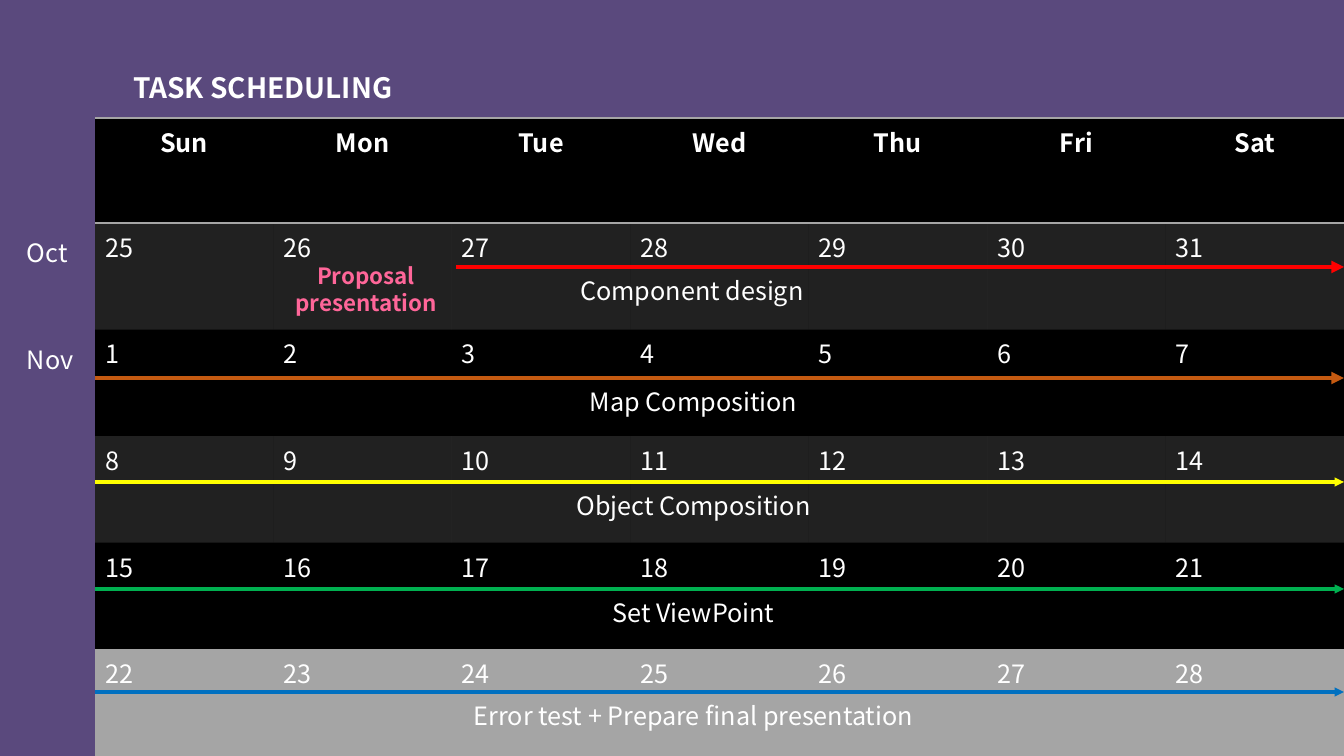
import dataclasses

import pptx
import pptx.dml.color
import pptx.enum.shapes
import pptx.enum.text
import pptx.oxml
import pptx.oxml.ns
import pptx.util

SCALE = 9144000 / 1008  # EMU per pixel
NO_TABLE_STYLE = "{2D5ABB26-0587-4C30-8999-92F81FD0307C}"
ALIGN = pptx.enum.text.PP_ALIGN


@dataclasses.dataclass(frozen=True)
class Theme:
    """Colours, font and type sizes of the slide."""
    font: str = "Noto Sans CJK KR"
    background: str = "5A497D"
    panel: str = "000000"
    text: str = "FFFFFF"
    grey: str = "A5A5A5"
    milestone: str = "FF6699"
    title_size: int = 20
    body_size: int = 18
    small_size: int = 16


THEME = Theme()
WEEKDAYS = ["Sun", "Mon", "Tue", "Wed", "Thu", "Fri", "Sat"]
DATES = [*range(25, 32), *range(1, 29)]

# Caption, colour, line width, top of the bar, left of the bar, caption left and width
TASKS = [
    ("Component design", "FF0000", 3, 149, 361, 350, 494),
    ("Map Composition", "C55A11", 3, 260, 0, 252, 693),
    ("Object Composition", "FFFF00", 2.25, 364, 0, 252, 693),
    ("Set ViewPoint", "00B050", 2.25, 471, 0, 252, 693),
    ("Error test + Prepare final presentation", "0070C0", 2.25, 574, 0, 252, 693),
]


def px(*lengths):
    """Turn pixel lengths into EMU."""
    return [pptx.util.Emu(round(length * SCALE)) for length in lengths]


def rgb(value):
    """Turn a hex string into a colour."""
    return pptx.dml.color.RGBColor.from_string(value)


def write_text(frame, text, size=THEME.body_size, color=THEME.text, bold=False,
               align=ALIGN.LEFT, spacing=1.0):
    """Fill a text frame, one paragraph for each line of text."""
    frame.text = text
    for paragraph in frame.paragraphs:
        paragraph.alignment = align
        paragraph.line_spacing = spacing
        font = paragraph.runs[0].font
        font.name, font.size, font.bold = THEME.font, pptx.util.Pt(size), bold
        font.color.rgb = rgb(color)


def add_text(shapes, box, text, **text_format):
    """Add a wrapping text box."""
    frame = shapes.add_textbox(*px(*box)).text_frame
    frame.word_wrap = True
    write_text(frame, text, **text_format)


def add_title(slide, box):
    """Place and format the title placeholder."""
    title = slide.shapes.title
    title.left, title.top, title.width, title.height = px(*box)
    title.text_frame.vertical_anchor = pptx.enum.text.MSO_ANCHOR.TOP
    write_text(title.text_frame, "TASK SCHEDULING", size=THEME.title_size, bold=True, spacing=1.5)


def add_panel(slide, box):
    """Add the black panel behind the calendar."""
    panel = slide.shapes.add_shape(pptx.enum.shapes.MSO_SHAPE.RECTANGLE, *px(*box))
    panel.shadow.inherit = False
    panel.fill.solid()
    panel.fill.fore_color.rgb = rgb(THEME.panel)
    panel.line.fill.background()


def add_border(cell, side):
    """Draw a one-point rule on one side of a cell, before its fill is set."""
    cell._tc.get_or_add_tcPr().append(pptx.oxml.parse_xml(
        f'<a:{side} {pptx.oxml.ns.nsdecls("a")} w="12700"><a:solidFill>'
        f'<a:srgbClr val="{THEME.grey}"/></a:solidFill></a:{side}>'))


def shade(cell):
    """Fill a cell with grey at 20 percent opacity."""
    cell.fill.solid()
    cell.fill.fore_color.rgb = rgb(THEME.grey)
    color = cell._tc.tcPr.find(".//" + pptx.oxml.ns.qn("a:solidFill") + "[last()]/..").find(
        pptx.oxml.ns.qn("a:solidFill"))[0]
    color.append(pptx.oxml.parse_xml(f'<a:alpha {pptx.oxml.ns.nsdecls("a")} val="20000"/>'))


def add_calendar(slide, box, header_height=105):
    """Add the weekday header and the weeks of dates."""
    columns = len(WEEKDAYS)
    weeks = len(DATES) // columns
    table = slide.shapes.add_table(weeks + 1, columns, *px(*box)).table
    properties = table._tbl.tblPr
    properties.find(pptx.oxml.ns.qn("a:tableStyleId")).text = NO_TABLE_STYLE
    table.horz_banding = False
    for column in table.columns:
        column.width = px(box[2] / columns)[0]
    for index, row in enumerate(table.rows):
        row.height = px((box[3] - header_height) / weeks if index else header_height)[0]

    for index, label in enumerate([*WEEKDAYS, *DATES]):
        week, day = divmod(index, columns)
        cell = table.cell(week, day)
        header = week == 0
        write_text(cell.text_frame, str(label), bold=header,
                   align=ALIGN.CENTER if header else ALIGN.LEFT)
        if header:
            add_border(cell, "lnT")
        if week in (0, weeks):
            add_border(cell, "lnB")
        if week % 2:
            shade(cell)
        else:
            cell.fill.background()


def add_task(slide, box, caption, color, width, bar_top, bar_left, caption_left, caption_width):
    """Add a task arrow that runs to the right edge, with its caption below."""
    left, top, full_width, _ = box
    shapes = slide.shapes.add_group_shape().shapes
    y = top + bar_top
    arrow = shapes.add_connector(pptx.enum.shapes.MSO_CONNECTOR.STRAIGHT,
                                 *px(left + bar_left, y, left + full_width, y))
    arrow.line.color.rgb = rgb(color)
    arrow.line.width = pptx.util.Pt(width)
    namespace = pptx.oxml.ns.nsdecls("a")
    arrow.line._get_or_add_ln().append(
        pptx.oxml.parse_xml(f'<a:tailEnd {namespace} type="triangle"/>'))
    arrow._element.spPr.append(pptx.oxml.parse_xml(f"<a:effectLst {namespace}/>"))
    add_text(shapes, (left + caption_left, y + 3, caption_width, 40), caption, align=ALIGN.CENTER)


def add_schedule(slide, box):
    """Add the calendar with its milestone, tasks and month labels."""
    left, top = box[:2]
    add_panel(slide, box)
    add_calendar(slide, box)
    add_text(slide.shapes, (left + 185, top + 139, 172, 65), "Proposal\npresentation",
             size=THEME.small_size, color=THEME.milestone, bold=True, align=ALIGN.CENTER)
    for task in TASKS:
        add_task(slide, box, *task)
    for index, month in enumerate(["Oct", "Nov"]):
        add_text(slide.shapes, (left - 78, top + 114 + 107 * index, 72, 40), month)


def main():
    """Build and save the presentation."""
    presentation = pptx.Presentation()
    presentation.slide_width, presentation.slide_height = px(1344, 756)
    slide = presentation.slides.add_slide(presentation.slide_layouts.get_by_name("Title Only"))
    slide.background.fill.solid()
    slide.background.fill.fore_color.rgb = rgb(THEME.background)
    add_title(slide, (123, 49, 464, 55))
    add_schedule(slide, (95, 118, 1249, 638))
    presentation.save("out.pptx")


main()
